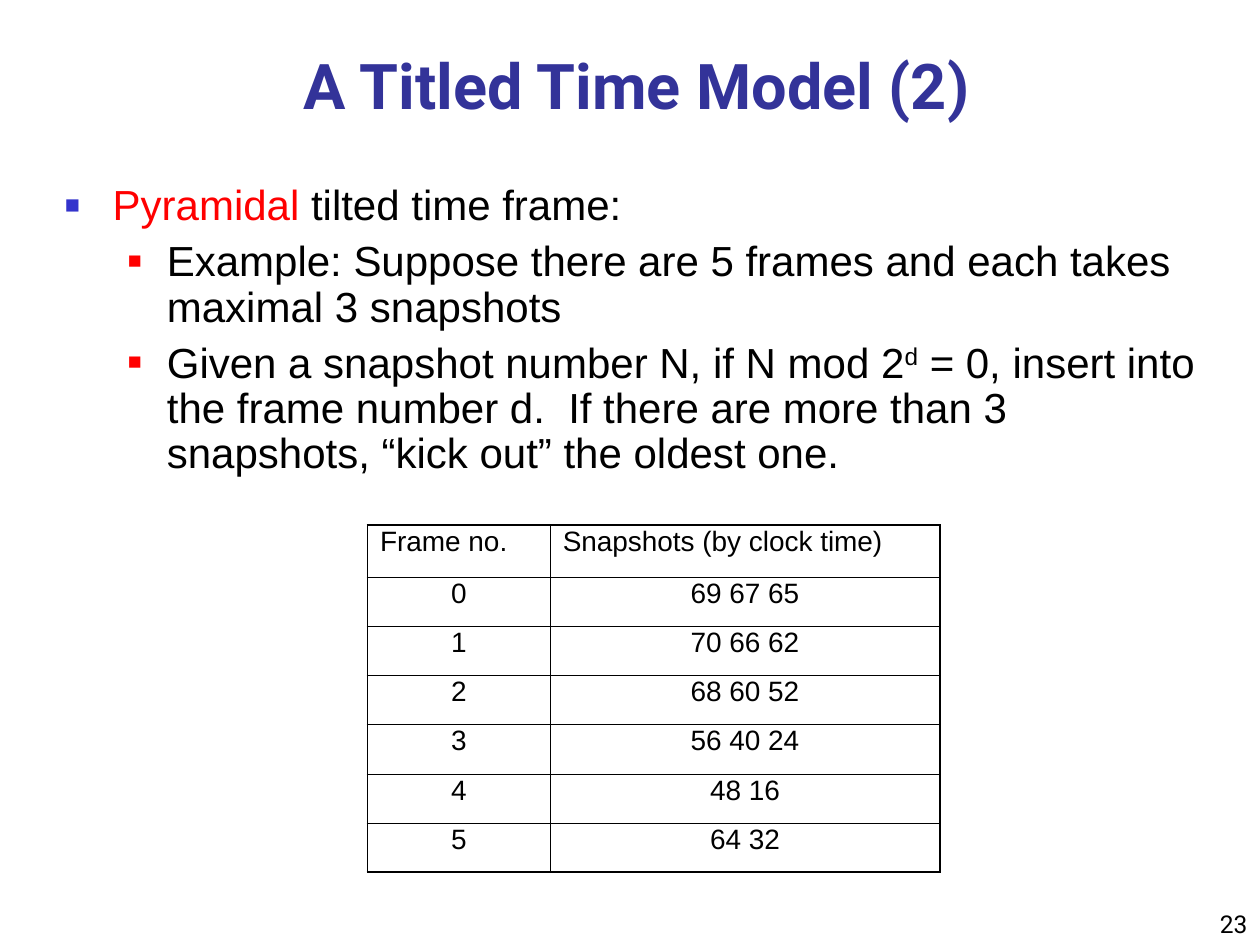
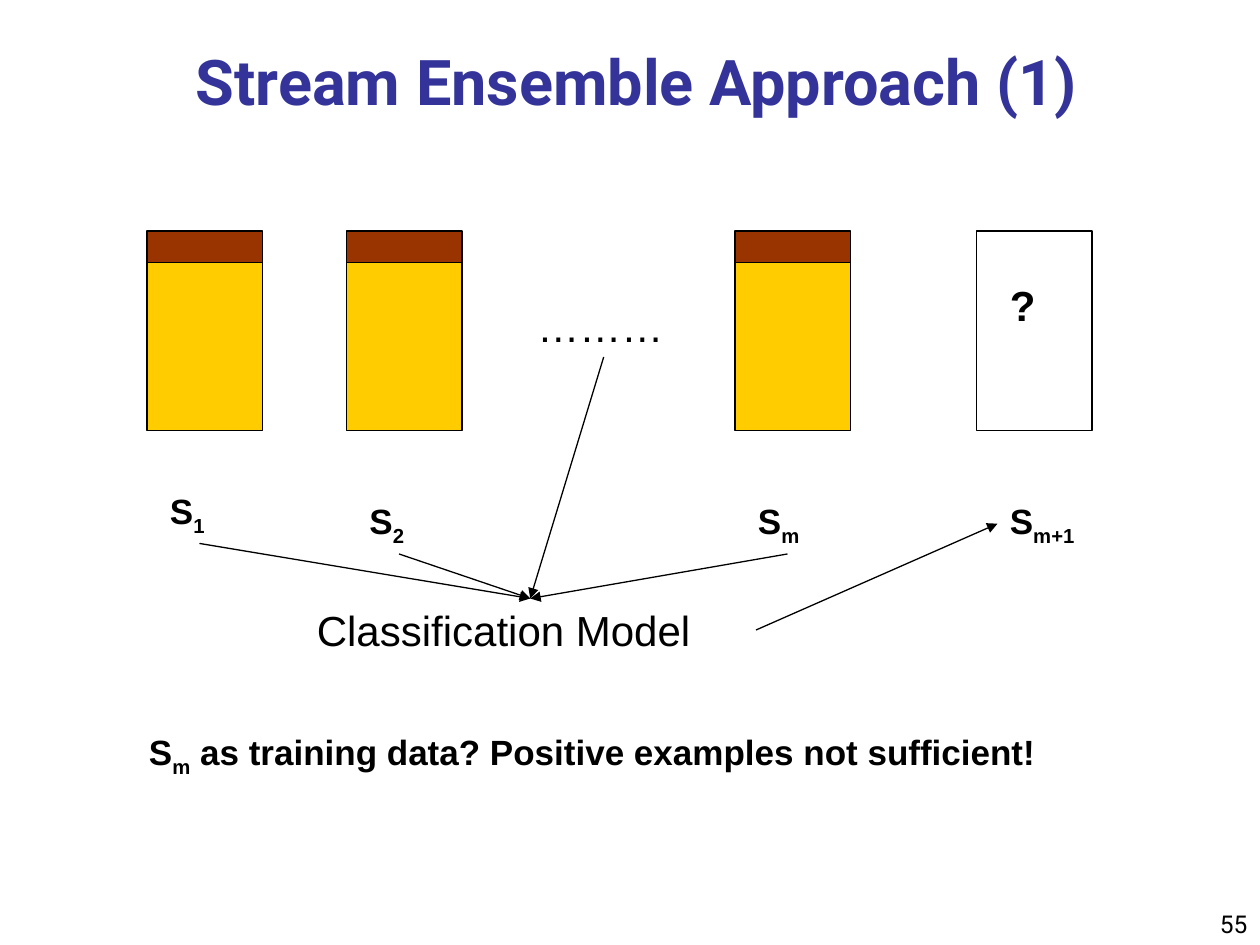
from dataclasses import dataclass
from typing import NamedTuple

from lxml import etree
from pptx import Presentation
from pptx.dml.color import RGBColor
from pptx.enum.shapes import MSO_CONNECTOR, MSO_SHAPE
from pptx.enum.text import MSO_ANCHOR, PP_ALIGN
from pptx.oxml.ns import qn
from pptx.util import Inches, Pt

LEFT, CENTER, RIGHT = PP_ALIGN.LEFT, PP_ALIGN.CENTER, PP_ALIGN.RIGHT
TOP, MIDDLE, BOTTOM = MSO_ANCHOR.TOP, MSO_ANCHOR.MIDDLE, MSO_ANCHOR.BOTTOM
RECTANGLE = MSO_SHAPE.RECTANGLE
STRAIGHT = MSO_CONNECTOR.STRAIGHT
TOP_SIDE, LEFT_SIDE, BOTTOM_SIDE, RIGHT_SIDE = range(4)

SLIDE_WIDTH, SLIDE_HEIGHT = Inches(10), Inches(7.5)
COLUMNS, ROWS = 120, 90

BLACK, NAVY, BLUE, RED = "000000", "333399", "3333CC", "FF0000"
BROWN, YELLOW = "993300", "FFCC00"

TITLE = {"name": "Roboto", "size": Pt(36), "bold": True}
NUMBER = {"name": "Roboto", "size": Pt(14)}
BODY = {"name": "Arial", "size": Pt(24)}
BODY_BOLD = BODY | {"bold": True}
LABEL = {"name": "Arial", "size": Pt(20), "bold": True}
CELL = {"name": "Arial", "size": Pt(16)}

SUPERSCRIPT, SUBSCRIPT = 30, -25


class Area(NamedTuple):
    column: float
    row: float
    columns: float
    rows: float


class Piece(NamedTuple):
    text: str
    color: str = BLACK
    shift: int = 0


@dataclass(frozen=True)
class Bullet:
    color: str
    percent: int
    margin: float
    hanging: float


@dataclass(frozen=True)
class Item:
    level: int
    pieces: tuple[Piece, ...]


@dataclass(frozen=True)
class Stream:
    column: int
    label_row: int
    label_columns: int
    label: str
    known: bool = True


BULLETS = (Bullet(BLUE, 60, 0.38, 0.38), Bullet(RED, 55, 0.81, 0.31))

ITEMS = (
    Item(0, (Piece("Pyramidal", RED), Piece(" tilted time frame:"))),
    Item(1, (Piece("Example: Suppose there are 5 frames and each takes maximal 3 snapshots"),)),
    Item(1, (
        Piece("Given a snapshot number N, if N mod 2"),
        Piece("d", shift=SUPERSCRIPT),
        Piece(" = 0, insert into the frame number d.  If there are more than 3 "
              "snapshots, “kick out” the oldest one."),
    )),
)

SNAPSHOTS = ("69 67 65", "70 66 62", "68 60 52", "56 40 24", "48 16", "64 32")

STREAMS = (
    Stream(14, 46, 8, "1"),
    Stream(33, 47, 8, "2"),
    Stream(70, 47, 8, "m"),
    Stream(93, 47, 11, "m+1", known=False),
)


def across(columns: float) -> int:
    return round(SLIDE_WIDTH * columns / COLUMNS)


def down(rows: float) -> int:
    return round(SLIDE_HEIGHT * rows / ROWS)


def place(area: Area) -> tuple[int, int, int, int]:
    return across(area.column), down(area.row), across(area.columns), down(area.rows)


def rgb(color: str) -> RGBColor:
    return RGBColor.from_string(color)


def apply(target, values: dict) -> None:
    for name, value in values.items():
        setattr(target, name, value)


def write(paragraph, pieces: tuple[Piece, ...], font: dict) -> None:
    for piece in pieces:
        run = paragraph.add_run()
        run.text = piece.text
        apply(run.font, font)
        run.font.color.rgb = rgb(piece.color)
        if piece.shift:
            run._r.get_or_add_rPr().set("baseline", str(piece.shift * 1000))


def add_text(slide, area: Area, pieces: tuple[Piece, ...], font: dict,
             alignment=LEFT, anchor=TOP):
    box = slide.shapes.add_textbox(*place(area))
    apply(box.text_frame, {"word_wrap": True, "vertical_anchor": anchor})
    paragraph = box.text_frame.paragraphs[0]
    paragraph.alignment = alignment
    write(paragraph, pieces, font)
    return box


def add_frame(slide, title: str, title_rows: float, anchor, number: int) -> None:
    add_text(slide, Area(95, 84, 25, 6), (Piece(str(number)),), NUMBER, RIGHT, BOTTOM)
    add_text(slide, Area(10, 3, 101.25, title_rows), (Piece(title, NAVY),),
             TITLE, CENTER, anchor)


def add_bullet(paragraph, bullet: Bullet) -> None:
    properties = paragraph._p.get_or_add_pPr()
    properties.set("marL", str(Inches(bullet.margin)))
    properties.set("indent", str(-Inches(bullet.hanging)))
    color = etree.SubElement(properties, qn("a:buClr"))
    etree.SubElement(color, qn("a:srgbClr"), val=bullet.color)
    etree.SubElement(properties, qn("a:buSzPct"), val=str(bullet.percent * 1000))
    etree.SubElement(properties, qn("a:buFont"), typeface="Arial")
    etree.SubElement(properties, qn("a:buChar"), char="■")


def add_items(slide, area: Area, items: tuple[Item, ...]) -> None:
    frame = add_text(slide, area, (), BODY).text_frame
    for index, item in enumerate(items):
        paragraph = frame.add_paragraph() if index else frame.paragraphs[0]
        add_bullet(paragraph, BULLETS[item.level])
        apply(paragraph, {"level": item.level, "line_spacing": 0.9,
                          "space_before": Pt(6 if index else 0)})
        write(paragraph, item.pieces, BODY)


def add_borders(cell, outer_sides: dict[str, bool]) -> None:
    properties = cell._tc.get_or_add_tcPr()
    for index, (side, is_outer) in enumerate(outer_sides.items()):
        line = etree.Element(qn(f"a:ln{side}"), w=str(Pt(1.08 if is_outer else 0.45)))
        fill = etree.SubElement(line, qn("a:solidFill"))
        etree.SubElement(fill, qn("a:srgbClr"), val=BLACK)
        properties.insert(index, line)


def add_snapshot_table(slide) -> None:
    rows = [("Frame no.", "Snapshots (by clock time)")]
    rows += [(str(frame), times) for frame, times in enumerate(SNAPSHOTS)]
    widths = (17.4, 37.1)
    area = Area(35, 50, sum(widths), 33)
    table = slide.shapes.add_table(len(rows), len(widths), *place(area)).table
    apply(table, {"first_row": False, "horz_banding": False})
    for column, width in zip(table.columns, widths):
        column.width = across(width)
    for row_index, values in enumerate(rows):
        table.rows[row_index].height = down(4.68 if row_index else 5)
        for column_index, value in enumerate(values):
            cell = table.cell(row_index, column_index)
            cell.fill.background()
            add_borders(cell, {
                "L": column_index == 0,
                "R": column_index == len(widths) - 1,
                "T": row_index == 0,
                "B": row_index == len(rows) - 1,
            })
            paragraph = cell.text_frame.paragraphs[0]
            apply(paragraph, {"line_spacing": 0.8,
                              "alignment": CENTER if row_index else LEFT})
            write(paragraph, (Piece(value),), CELL)


def add_rectangle(slide, area: Area, color: str | None = None) -> None:
    shape = slide.shapes.add_shape(RECTANGLE, *place(area))
    shape.shadow.inherit = False
    if color:
        shape.fill.solid()
        shape.fill.fore_color.rgb = rgb(color)
    else:
        shape.fill.background()
    shape.line.color.rgb = rgb(BLACK)
    shape.line.width = Pt(0.75)


def add_arrow(slide, source, source_side: int, target, target_side: int) -> None:
    connector = slide.shapes.add_connector(STRAIGHT, 0, 0, 0, 0)
    connector.begin_connect(source, source_side)
    connector.end_connect(target, target_side)
    connector.line.color.rgb = rgb(BLACK)
    connector.line.width = Pt(0.75)
    etree.SubElement(connector.line._get_or_add_ln(), qn("a:tailEnd"), type="triangle")
    etree.SubElement(connector._element.spPr, qn("a:effectLst"))


def add_stream(slide, stream: Stream):
    if stream.known:
        add_rectangle(slide, Area(stream.column, 25, 11, 16), YELLOW)
        add_rectangle(slide, Area(stream.column, 22, 11, 3), BROWN)
    else:
        add_rectangle(slide, Area(stream.column, 22, 11, 19))
        add_text(slide, Area(stream.column + 2, 26, 8, 6), (Piece("?"),), BODY_BOLD)
    offset = 1 if stream.known else 2
    area = Area(stream.column + offset, stream.label_row, stream.label_columns, 5.76)
    return add_text(slide, area, (Piece("S"), Piece(stream.label, shift=SUBSCRIPT)), LABEL)


def build_time_model(slide) -> None:
    add_frame(slide, "A Titled Time Model (2)", 10, MIDDLE, 23)
    add_items(slide, Area(5, 17, 110.25, 67), ITEMS)
    add_snapshot_table(slide)


def build_ensemble(slide) -> None:
    add_frame(slide, "Stream Ensemble Approach (1)", 8.88, BOTTOM, 55)
    *known_labels, next_label = [add_stream(slide, stream) for stream in STREAMS]
    ellipsis = add_text(slide, Area(50, 28, 15, 6), (Piece("………"),), BODY)
    model = add_text(slide, Area(29, 57, 43, 6), (Piece("Classification Model"),), BODY)
    for source in (*known_labels, ellipsis):
        add_arrow(slide, source, BOTTOM_SIDE, model, TOP_SIDE)
    add_arrow(slide, model, RIGHT_SIDE, next_label, LEFT_SIDE)
    add_text(slide, Area(13, 69, 90, 5.76), (
        Piece("S"),
        Piece("m", shift=SUBSCRIPT),
        Piece(" as training data? Positive examples not sufficient!"),
    ), LABEL)


def main() -> None:
    presentation = Presentation()
    apply(presentation, {"slide_width": SLIDE_WIDTH, "slide_height": SLIDE_HEIGHT})
    blank = presentation.slide_layouts[6]
    for build in (build_time_model, build_ensemble):
        build(presentation.slides.add_slide(blank))
    presentation.save("out.pptx")


if __name__ == "__main__":
    main()
